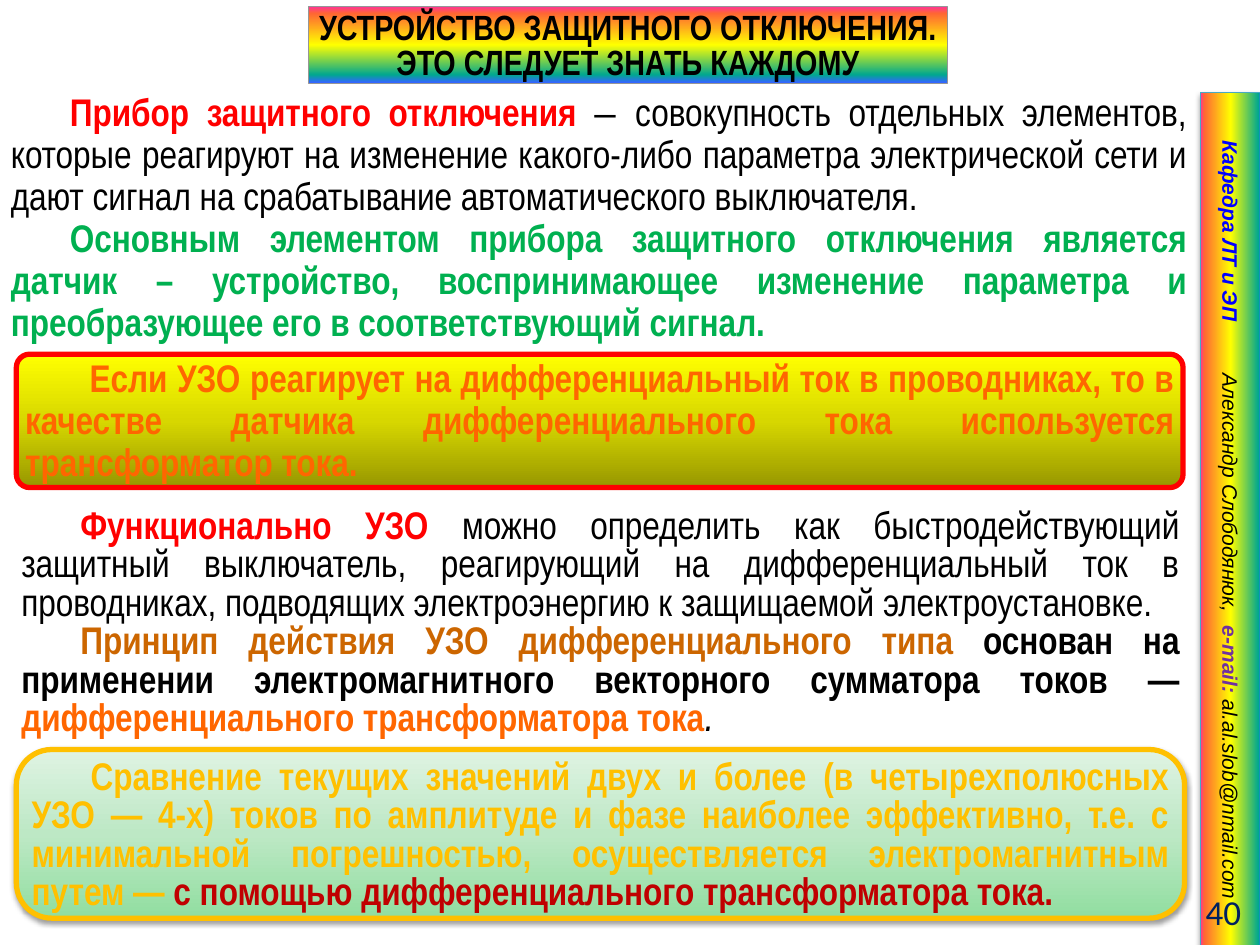
from lxml.etree import SubElement
from pptx import Presentation
from pptx.dml.color import RGBColor
from pptx.enum.shapes import MSO_SHAPE
from pptx.enum.text import MSO_ANCHOR, MSO_AUTO_SIZE, PP_ALIGN
from pptx.oxml import parse_xml
from pptx.oxml.ns import nsdecls, qn
from pptx.util import Cm, Pt

BLACK = RGBColor(0x00, 0x00, 0x00)
RED = RGBColor(0xFF, 0x00, 0x00)
GREEN = RGBColor(0x00, 0xB0, 0x50)
BROWN = RGBColor(0xCC, 0x66, 0x00)
ORANGE = RGBColor(0xFF, 0x66, 0x00)
GOLD = RGBColor(0xFF, 0xC0, 0x00)
DARK_RED = RGBColor(0xC0, 0x00, 0x00)
BLUE = RGBColor(0x00, 0x00, 0xFF)
PURPLE = RGBColor(0x70, 0x30, 0xA0)
NAVY = RGBColor(0x00, 0x20, 0x60)
TEAL = RGBColor(0x46, 0xAA, 0xC5)
GRAY = RGBColor(0x96, 0x96, 0x96)
PINK = RGBColor(0xFF, 0x33, 0x99)
CORAL = RGBColor(0xFF, 0x66, 0x33)
YELLOW = RGBColor(0xFF, 0xFF, 0x00)
SEA = RGBColor(0x01, 0xA7, 0x8F)
SKY = RGBColor(0x33, 0x66, 0xFF)
OLIVE = RGBColor(0x97, 0x97, 0x00)
LIME = RGBColor(0xD7, 0xD7, 0x00)
MINT = RGBColor(0x91, 0xDE, 0xA0)
MINT_MID = RGBColor(0xBD, 0xE8, 0xC5)
MINT_PALE = RGBColor(0xDF, 0xF3, 0xE3)
RAINBOW = (PINK, CORAL, YELLOW, SEA, SKY)


def add_run(p, text, color=BLACK, size=22, font="Arial Narrow", bold=False, italic=False, outline=0):
    r = p.add_run()
    r.text = text
    r.font.name = font
    r.font.size = Pt(size)
    r.font.bold = bold
    r.font.italic = italic
    r.font.color.rgb = color
    if outline:
        r._r.get_or_add_rPr().insert(0, parse_xml(
            f'<a:ln {nsdecls("a")} w="{Pt(outline)}"><a:solidFill>'
            f'<a:srgbClr val="{BLACK}"/></a:solidFill></a:ln>'))


def style_panel(sp, colors, stops, angle, line, width, shadow=False):
    sp.fill.gradient()
    sp.fill.gradient_angle = angle
    gs_list = sp._element.spPr.find(qn("a:gradFill")).find(qn("a:gsLst"))
    for gs in list(gs_list):
        gs_list.remove(gs)
    for color, stop in zip(colors, stops):
        gs = SubElement(gs_list, qn("a:gs"), pos=str(stop * 1000))
        SubElement(gs, qn("a:srgbClr"), val=str(color))
    sp.line.color.rgb = line
    sp.line.width = Pt(width)
    sp.shadow.inherit = False
    if shadow:
        sp._element.spPr.find(qn("a:effectLst")).append(parse_xml(
            f'<a:outerShdw {nsdecls("a")} blurRad="{Pt(3.1)}" dist="{Pt(1.6)}" dir="5400000" '
            f'rotWithShape="0"><a:srgbClr val="{BLACK}"><a:alpha val="38000"/></a:srgbClr></a:outerShdw>'))


prs = Presentation()
prs.slide_width, prs.slide_height = Cm(25.4), Cm(19.05)
s = prs.slides.add_slide(prs.slide_layouts[5])

title = s.shapes.title
title.left, title.top, title.width, title.height = Cm(6.22), Cm(0.13), Cm(12.88), Cm(1.55)
title._element.spPr.append(parse_xml(
    f'<a:prstGeom {nsdecls("a")} prst="roundRect"><a:avLst/></a:prstGeom>'))
style_panel(title, RAINBOW, (0, 9, 50, 89, 99), 270, GRAY, 0.75)
tf = title.text_frame
tf.auto_size = MSO_AUTO_SIZE.NONE
tf.word_wrap = True
tf.vertical_anchor = MSO_ANCHOR.MIDDLE
tf.margin_left = tf.margin_right = tf.margin_top = Cm(0.1)
tf.margin_bottom = 0
p = tf.paragraphs[0]
p.alignment = PP_ALIGN.CENTER
p.line_spacing = Pt(20)
add_run(p, "УСТРОЙСТВО ЗАЩИТНОГО ОТКЛЮЧЕНИЯ. ЭТО СЛЕДУЕТ ЗНАТЬ КАЖДОМУ", size=20, bold=True)

device = s.shapes.add_textbox(Cm(-0.03), Cm(1.73), Cm(24.21), Cm(5.38))
function = s.shapes.add_textbox(Cm(0.33), Cm(10.13), Cm(23.55), Cm(4.9))
sensor = s.shapes.add_shape(MSO_SHAPE.ROUNDED_RECTANGLE, Cm(0.33), Cm(7.14), Cm(23.52), Cm(2.69))
sensor.adjustments[0] = 0.1
style_panel(sensor, (OLIVE, LIME, YELLOW), (0, 50, 100), 90, RED, 3)
compare = s.shapes.add_shape(MSO_SHAPE.ROUNDED_RECTANGLE, Cm(0.33), Cm(15.11), Cm(23.55), Cm(3.4))
compare.adjustments[0] = 0.21
style_panel(compare, (MINT, MINT_MID, MINT_PALE), (0, 50, 100), 90, GOLD, 3, shadow=True)

blocks = [
    (device, MSO_ANCHOR.TOP, (0.25, 0.13, 0.13), 24, 1.19, [
        [("Прибор защитного отключения ", dict(color=RED, bold=True, outline=0.75)),
         ("– ", dict(font="Arial")),
         ("совокупность отдельных элементов, которые реагируют на изменение какого-либо параметра "
          "электрической сети и дают сигнал на срабатывание автоматического выключателя.", {})],
        [("Основным элементом прибора защитного отключения является датчик – устройство, "
          "воспринимающее изменение параметра и преобразующее его в соответствующий сигнал.",
          dict(color=GREEN, bold=True, outline=1))]]),
    (sensor, MSO_ANCHOR.MIDDLE, (0.1, 0.1, 0.1), 24, 1.3, [
        [("Если УЗО реагирует на дифференциальный ток в проводниках, то в качестве датчика "
          "дифференциального тока используется трансформатор тока.",
          dict(color=ORANGE, bold=True, outline=1))]]),
    (function, MSO_ANCHOR.MIDDLE, (0.1, 0.1, 0.1), 22, 1.19, [
        [("Функционально УЗО ", dict(color=RED, bold=True, outline=0.75)),
         ("можно определить как быстродействующий защитный выключатель, реагирующий на "
          "дифференциальный ток в проводниках, подводящих электроэнергию к защищаемой "
          "электроустановке.", {})],
        [("Принцип действия УЗО дифференциального типа ", dict(color=BROWN, bold=True, outline=1)),
         ("основан на применении электромагнитного векторного сумматора токов — ", dict(bold=True)),
         ("дифференциального трансформатора тока", dict(color=ORANGE, bold=True, outline=0.75)),
         (".", dict(size=24, italic=True))]]),
    (compare, MSO_ANCHOR.MIDDLE, (0.1, 0.1, 0), 22, 1.19, [
        [("Сравнение текущих значений двух и более (в четырехполюсных УЗО — 4-х) токов по амплитуде "
          "и фазе наиболее эффективно, т.е. с минимальной погрешностью, осуществляется "
          "электромагнитным путем — ", dict(color=GOLD, bold=True, outline=0.07)),
         ("с помощью дифференциального трансформатора тока.",
          dict(color=DARK_RED, bold=True, outline=0.07))]]),
]
for sp, anchor, (side, top, bottom), spacing, indent, paragraphs in blocks:
    tf = sp.text_frame
    tf.word_wrap = True
    tf.vertical_anchor = anchor
    tf.margin_left = tf.margin_right = Cm(side)
    tf.margin_top, tf.margin_bottom = Cm(top), Cm(bottom)
    for i, runs in enumerate(paragraphs):
        p = tf.add_paragraph() if i else tf.paragraphs[0]
        p.alignment = PP_ALIGN.JUSTIFY
        p.line_spacing = Pt(spacing)
        p._p.get_or_add_pPr().set("indent", str(Cm(indent)))
        for text, fmt in runs:
            add_run(p, text, **fmt)

sidebar = s.shapes.add_shape(MSO_SHAPE.RECTANGLE, Cm(16.21), Cm(9.86), Cm(17.2), Cm(1.22))
sidebar.rotation = 90
style_panel(sidebar, RAINBOW, (0, 6, 50, 96, 100), 90, TEAL, 0.75, shadow=True)
tf = sidebar.text_frame
tf.word_wrap = True
tf.vertical_anchor = MSO_ANCHOR.MIDDLE
tf.margin_left = Cm(0.97)
p = tf.paragraphs[0]
p.alignment = PP_ALIGN.LEFT
tabs = SubElement(p._p.get_or_add_pPr(), qn("a:tabLst"))
for pos in (4.7, 9.78):
    SubElement(tabs, qn("a:tab"), pos=str(Cm(pos)), algn="l")
for text, color, bold in [("Кафедра ЛТ и ЭП\t", BLUE, True), ("Александр Слободянюк,\t", BLACK, False),
                          ("e-mail: ", PURPLE, True), ("al.al.slob@nmail.com", BLACK, False)]:
    add_run(p, text, color=color, size=12, font="Arial", bold=bold, italic=True)

number = s.shapes.add_textbox(Cm(22.5), Cm(17.86), Cm(2.77), Cm(1.02))
tf = number.text_frame
tf.word_wrap = True
tf.vertical_anchor = MSO_ANCHOR.MIDDLE
p = tf.paragraphs[0]
p.alignment = PP_ALIGN.RIGHT
add_run(p, "40", color=NAVY, size=20, font="Calibri")

prs.save("out.pptx")
